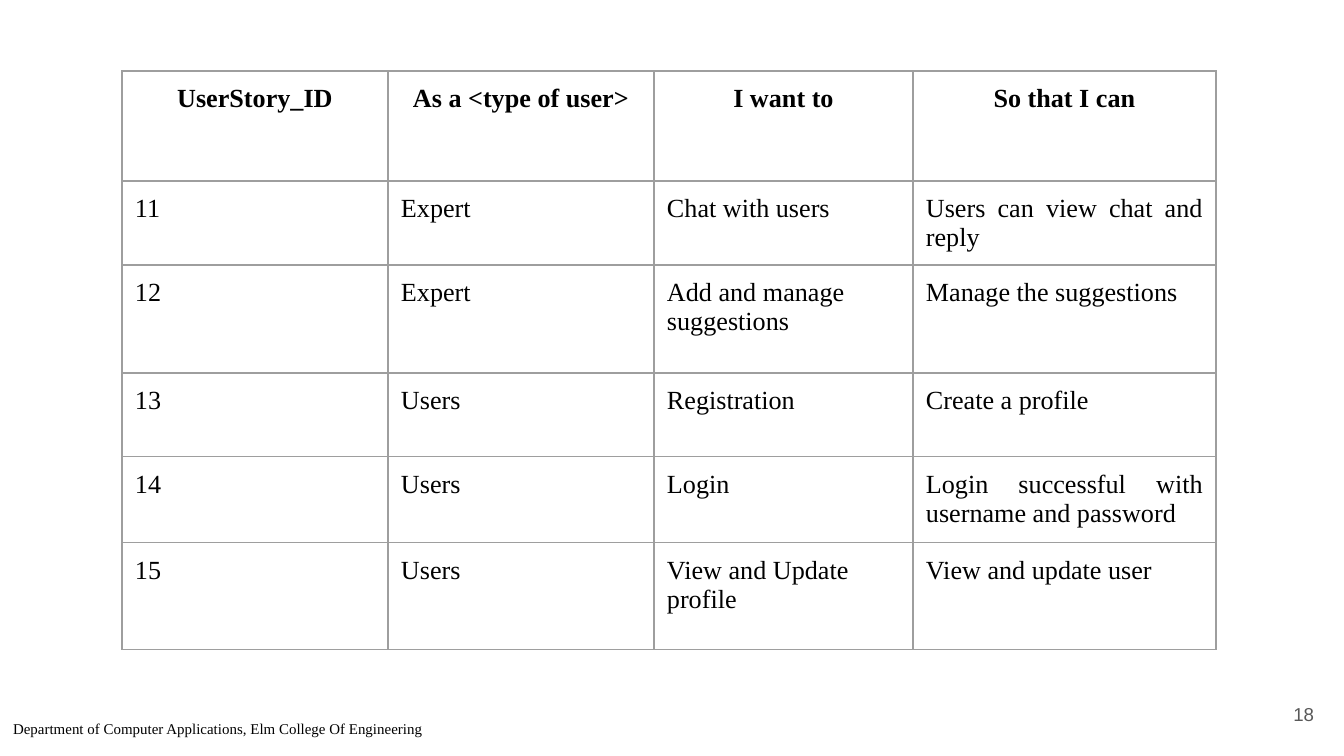
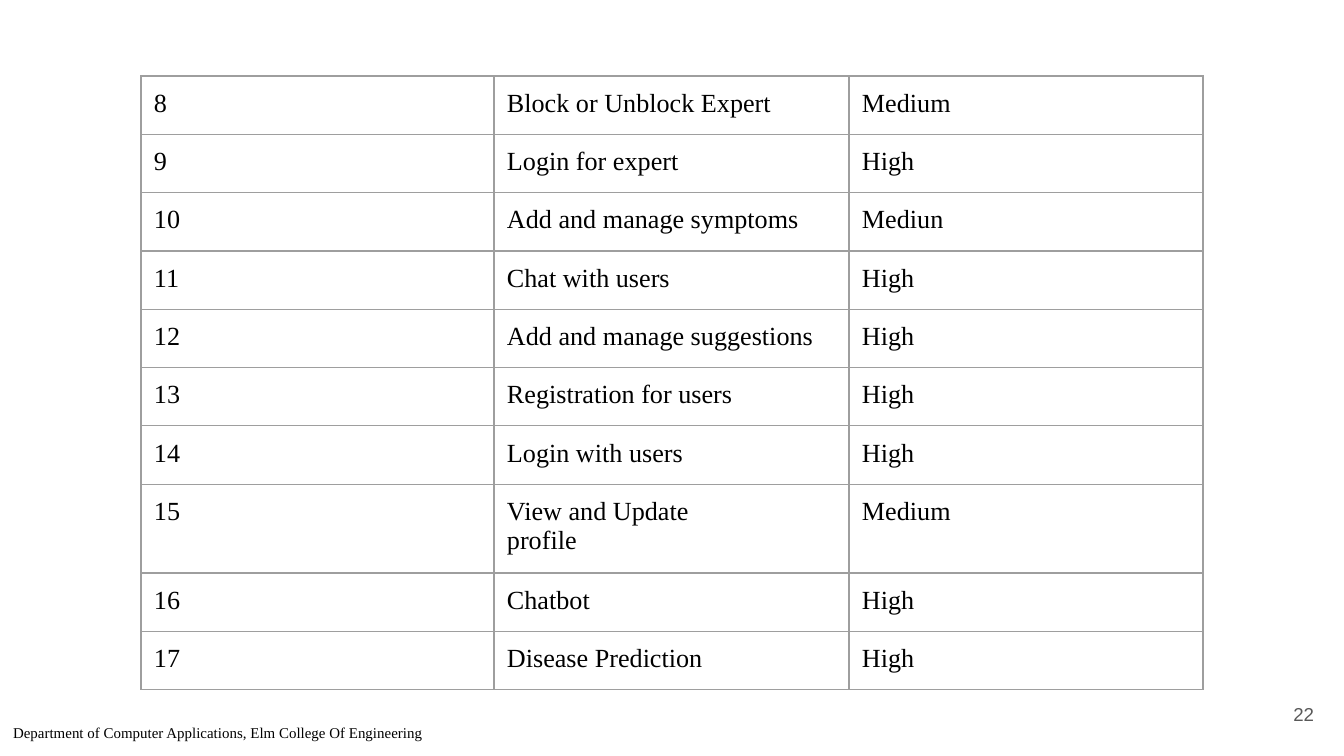
"""Build two user story table slides with a shared footer and page number."""
from lxml import etree
from pptx import Presentation
from pptx.dml.color import RGBColor
from pptx.enum.text import MSO_ANCHOR, PP_ALIGN
from pptx.oxml.ns import qn
from pptx.util import Emu, Pt

LEFT, CENTER, RIGHT, JUSTIFY = PP_ALIGN.LEFT, PP_ALIGN.CENTER, PP_ALIGN.RIGHT, PP_ALIGN.JUSTIFY
TOP, MIDDLE = MSO_ANCHOR.TOP, MSO_ANCHOR.MIDDLE
BLANK_LAYOUT = 6
EMU_PER_PX = 914400 / 134.4
SLIDE_SIZE = (1344, 756)
INSET = 13
SERIF, SANS = "Times New Roman", "Arial"
BLACK, GRAY, BORDER = "000000", "595959", "9E9E9E"
BORDER_SIDES = ("a:lnL", "a:lnR", "a:lnT", "a:lnB")
FOOTER = "Department of Computer Applications, Elm College Of Engineering"
PAGE_NUMBER_BOX = (1246, 685, 81, 58)

STORIES = [
    ("UserStory_ID", "As a <type of user>", "I want to", "So that I can"),
    ("11", "Expert", "Chat with users", "Users can view chat and reply"),
    ("12", "Expert", "Add and manage suggestions", "Manage the suggestions"),
    ("13", "Users", "Registration", "Create a profile"),
    ("14", "Users", "Login", "Login successful with username and password"),
    ("15", "Users", "View and Update\nprofile", "View and update user"),
]
PRIORITIES = [
    ("8", "Block or Unblock Expert", "Medium"),
    ("9", "Login for expert", "High"),
    ("10", "Add and manage symptoms", "Mediun"),
    ("11", "Chat with users", "High"),
    ("12", "Add and manage suggestions", "High"),
    ("13", "Registration for users", "High"),
    ("14", "Login with users", "High"),
    ("15", "View and Update\nprofile", "Medium"),
    ("16", "Chatbot", "High"),
    ("17", "Disease Prediction", "High"),
]
PRIORITY_HEIGHT, TALL_ROW = 614, 89
SINGLE_ROW = (PRIORITY_HEIGHT - TALL_ROW) / (len(PRIORITIES) - 1)

SLIDES = [
    {
        "number": "18", "footer_box": (0, 711, 640, 63), "origin": (122, 71),
        "rows": STORIES, "has_header": True, "last_column": JUSTIFY,
        "widths": [266, 266, 259, 303], "heights": [110, 84, 108, 84, 86, 107],
    },
    {
        "number": "22", "footer_box": (0, 715, 818, 63), "origin": (141, 76),
        "rows": PRIORITIES, "has_header": False, "last_column": LEFT,
        "widths": [353, 355, 354],
        "heights": [TALL_ROW if "\n" in row[1] else SINGLE_ROW for row in PRIORITIES],
    },
]


def px(length):
    """Convert pixels to EMU."""
    return Emu(round(length * EMU_PER_PX))


def color(value):
    """Turn a hex string into a colour."""
    return RGBColor.from_string(value)


def write(holder, text, size, font=SERIF, ink=BLACK, align=LEFT, bold=False):
    """Fill a text box or cell with formatted text and even insets."""
    holder.margin_left = holder.margin_right = px(INSET)
    holder.margin_top = holder.margin_bottom = px(INSET)
    frame = getattr(holder, "text_frame", holder)
    frame.text = text
    for paragraph in frame.paragraphs:
        paragraph.alignment = align
        for run in paragraph.runs:
            run.font.name = font
            run.font.size = Pt(size)
            run.font.bold = bold
            run.font.color.rgb = color(ink)


def add_text(slide, box, text, size, anchor=TOP, **style):
    """Add a wrapping text box."""
    frame = slide.shapes.add_textbox(*map(px, box)).text_frame
    frame.word_wrap = True
    frame.vertical_anchor = anchor
    write(frame, text, size, **style)


def outline(cell):
    """Draw thin borders around an unfilled cell."""
    properties = cell._tc.get_or_add_tcPr()
    for side in BORDER_SIDES:
        line = etree.SubElement(properties, qn(side), w=str(Pt(0.75)))
        fill = etree.SubElement(line, qn("a:solidFill"))
        etree.SubElement(fill, qn("a:srgbClr"), val=BORDER)
    cell.fill.background()


def add_grid(slide, content):
    """Add the bordered table of one slide."""
    rows, widths, heights = content["rows"], content["widths"], content["heights"]
    box = (*content["origin"], sum(widths), sum(heights))
    table = slide.shapes.add_table(len(rows), len(widths), *map(px, box)).table
    table.first_row = content["has_header"]
    table.horz_banding = False
    for column, width in zip(table.columns, widths):
        column.width = px(width)
    for table_row, height in zip(table.rows, heights):
        table_row.height = px(height)
    for row_index, row in enumerate(rows):
        is_header = content["has_header"] and row_index == 0
        for column_index, text in enumerate(row):
            is_last = column_index == len(row) - 1
            align = CENTER if is_header else content["last_column"] if is_last else LEFT
            cell = table.cell(row_index, column_index)
            write(cell, text, 14, align=align, bold=is_header)
            outline(cell)


def main():
    """Build and save the presentation."""
    presentation = Presentation()
    presentation.slide_width, presentation.slide_height = map(px, SLIDE_SIZE)
    for content in SLIDES:
        slide = presentation.slides.add_slide(presentation.slide_layouts[BLANK_LAYOUT])
        add_grid(slide, content)
        add_text(slide, content["footer_box"], FOOTER, 8)
        add_text(slide, PAGE_NUMBER_BOX, content["number"], 10, MIDDLE,
                 font=SANS, ink=GRAY, align=RIGHT)
    presentation.save("out.pptx")


if __name__ == "__main__":
    main()
